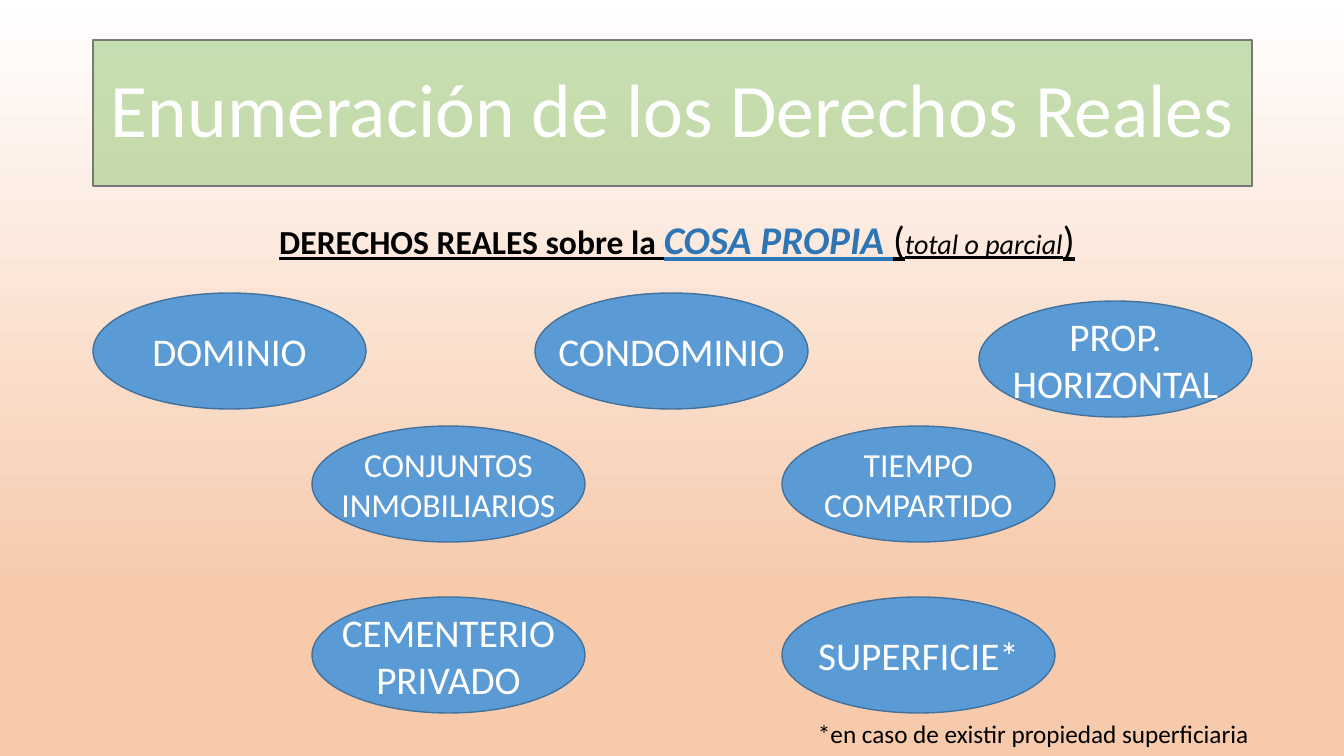
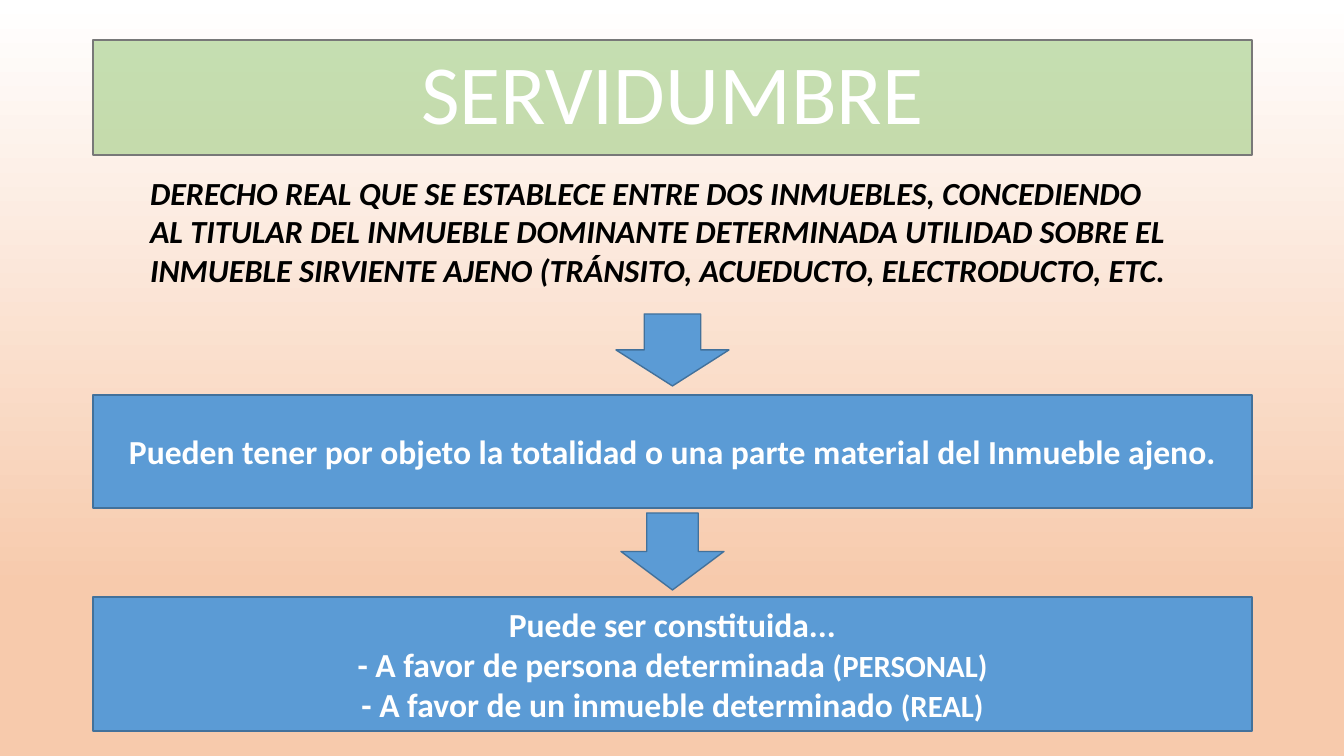
from lxml import etree
from pptx import Presentation
from pptx.dml.color import RGBColor
from pptx.enum.shapes import MSO_SHAPE
from pptx.enum.text import MSO_ANCHOR, MSO_AUTO_SIZE, PP_ALIGN
from pptx.oxml.ns import qn
from pptx.util import Pt

PX = 12192000 / 1344
RECTANGLE, OVAL, DOWN_ARROW = MSO_SHAPE.RECTANGLE, MSO_SHAPE.OVAL, MSO_SHAPE.DOWN_ARROW
LEFT, CENTER = PP_ALIGN.LEFT, PP_ALIGN.CENTER
TOP, MIDDLE = MSO_ANCHOR.TOP, MSO_ANCHOR.MIDDLE
NO_AUTOFIT = MSO_AUTO_SIZE.NONE

FONT = "Calibri"
WHITE, BLACK, PEACH = "FFFFFF", "000000", "F7CAAC"
BLUE, BLUE_EDGE, ACCENT = "5B9BD5", "42719B", "2E75B5"
GREEN, GREY = "A8D08C", "787878"
BAND_LEFT, BAND_WIDTH = 93, 1159
BAND_CENTER = BAND_LEFT + BAND_WIDTH / 2


def px(*lengths):
    return [round(length * PX) for length in lengths]


def write(shape, paragraphs, size=24, color=WHITE, bold=False, italic=False, underline=False,
          align=CENTER, anchor=MIDDLE, spacing=1.0, wrap=True, inset=(10, 5)):
    """Fill a shape with paragraphs, each a list of (text, overrides) runs; a newline breaks the line."""
    frame = shape.text_frame
    frame.auto_size, frame.word_wrap, frame.vertical_anchor = NO_AUTOFIT, wrap, anchor
    side, edge = px(*inset)
    frame.margin_left = frame.margin_right = side
    frame.margin_top = frame.margin_bottom = edge
    for number, runs in enumerate(paragraphs):
        paragraph = frame.add_paragraph() if number else frame.paragraphs[0]
        paragraph.alignment, paragraph.line_spacing = align, spacing
        for text, overrides in runs:
            look = dict(size=size, color=color, bold=bold, italic=italic, underline=underline) | overrides
            for line_number, line in enumerate(text.split("\n")):
                if line_number:
                    paragraph.add_line_break()
                run = paragraph.add_run()
                run.text = line
                font = run.font
                font.name, font.size = FONT, Pt(look["size"])
                font.bold, font.italic, font.underline = look["bold"], look["italic"], look["underline"]
                font.color.rgb = RGBColor.from_string(look["color"])


prs = Presentation()
prs.slide_width, prs.slide_height = px(1344, 756)

# Shared background and title band
slides = []
for heading, size, height in [("Enumeración de los Derechos Reales", 54, 146), ("SERVIDUMBRE", 60, 115)]:
    slide = prs.slides.add_slide(prs.slide_layouts[5])
    background = slide.background.fill
    background.gradient()
    background.gradient_angle = 270
    for stop, color, position in zip(background.gradient_stops, (WHITE, PEACH), (0, 0.78)):
        stop.color.rgb = RGBColor.from_string(color)
        stop.position = position
    title = slide.shapes.title
    title.left, title.top, title.width, title.height = px(BAND_LEFT, 40, BAND_WIDTH, height)
    title.fill.solid()
    title.fill.fore_color.rgb = RGBColor.from_string(GREEN)
    etree.SubElement(title.element.spPr.find(".//" + qn("a:srgbClr")), qn("a:alpha"), val="66000")
    title.line.color.rgb = RGBColor.from_string(GREY)
    title.line.width = Pt(1)
    write(title, [[(heading, {})]], size=size, spacing=0.9)
    slides.append(slide)
rights, easement = slides

# Blue shapes of both slides
OVAL_WIDTH, OVAL_HEIGHT = 273, 116
right_ovals = [
    ("DOMINIO", 93, 293, 28), ("CONDOMINIO", 535, 293, 28), ("PROP.\nHORIZONTAL", 979, 301, 28),
    ("CONJUNTOS\nINMOBILIARIOS", 312, 426, 24), ("TIEMPO\nCOMPARTIDO", 782, 426, 24),
    ("CEMENTERIO\nPRIVADO", 312, 597, 28), ("SUPERFICIE*", 782, 597, 28),
]
scope = [[("Pueden tener por objeto la totalidad o una parte material del Inmueble ajeno.", {})]]
beneficiaries = [
    [("Puede ser constituida...", {})],
    [("- A favor de persona determinada ", {}), ("(PERSONAL)", {"size": 22})],
    [("- A favor de un inmueble determinado ", {}), ("(REAL)", {"size": 22})],
]
oval_format = dict(wrap=False, inset=(0, 0))
blue_shapes = [
    (rights, OVAL, (left, top, OVAL_WIDTH, OVAL_HEIGHT), [[(name, {})]], oval_format | {"size": size})
    for name, left, top, size in right_ovals
]
blue_shapes += [
    (easement, DOWN_ARROW, (BAND_CENTER - width / 2, top, width, height), [], {})
    for top, width, height in [(314, 113, 72), (513, 103, 77)]
]
blue_shapes += [
    (easement, RECTANGLE, (BAND_LEFT, top, BAND_WIDTH, height), paragraphs, {"bold": True})
    for top, height, paragraphs in [(395, 113, scope), (597, 134, beneficiaries)]
]
for slide, preset, box, paragraphs, text_format in blue_shapes:
    shape = slide.shapes.add_shape(preset, *px(*box))
    shape.shadow.inherit = False
    shape.fill.solid()
    shape.fill.fore_color.rgb = RGBColor.from_string(BLUE)
    shape.line.color.rgb = RGBColor.from_string(BLUE_EDGE)
    shape.line.width = Pt(1)
    write(shape, paragraphs, **text_format)

# Free text of both slides
subtitle = [[
    ("DERECHOS REALES sobre la ", {"size": 24, "bold": True}),
    ("COSA PROPIA ", {"color": ACCENT, "bold": True, "italic": True}),
    ("(", {}), ("total o parcial", {"size": 20, "italic": True}), (")", {}),
]]
footnote = [[("*en caso de existir propiedad superficiaria", {})]]
definition = [[(
    "DERECHO REAL QUE SE ESTABLECE ENTRE DOS INMUEBLES, CONCEDIENDO AL TITULAR DEL INMUEBLE "
    "DOMINANTE DETERMINADA UTILIDAD SOBRE EL INMUEBLE SIRVIENTE AJENO (TRÁNSITO, ACUEDUCTO, "
    "ELECTRODUCTO, ETC.", {})]]
for slide, box, paragraphs, text_format in [
    (rights, (93, 216, 1168, 60), subtitle, dict(size=28, underline=True, spacing=0.9)),
    (rights, (808, 713, 511, 40), footnote, dict(size=18, align=LEFT)),
    (easement, (140, 163, 1049, 145), definition,
     dict(size=23, bold=True, italic=True, align=LEFT, inset=(10, 10))),
]:
    text_box = slide.shapes.add_textbox(*px(*box))
    write(text_box, paragraphs, color=BLACK, anchor=TOP, **text_format)

prs.save("out.pptx")
